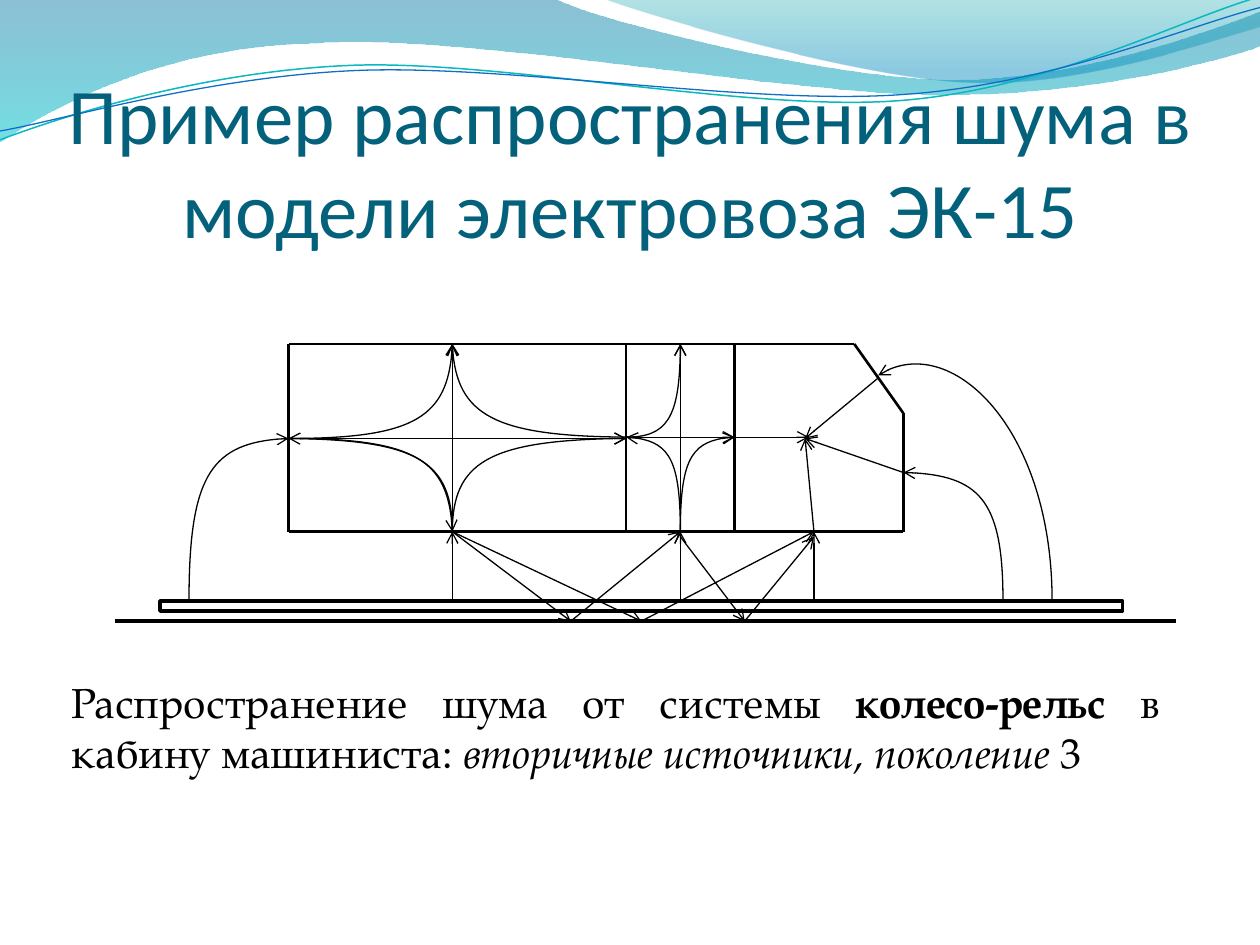
from lxml import etree
from pptx import Presentation
from pptx import util as u
from pptx.dml.color import RGBColor
from pptx.enum import shapes, text
from pptx.oxml.ns import qn

BLACK = RGBColor(0x00, 0x00, 0x00)
TITLE_BLUE = RGBColor(0x04, 0x61, 0x7B)
WAVE_TEAL = RGBColor(0x0A, 0xB8, 0xBF)
WAVE_BLUE = RGBColor(0x0F, 0x6F, 0xC6)
DEEP_BLUE = RGBColor(0x00, 0x74, 0xA1)
CYAN = RGBColor(0x00, 0xC6, 0xCF)
SEA_GREEN = RGBColor(0x00, 0xA1, 0xA9)
SKY_BLUE = RGBColor(0x00, 0x8B, 0xBF)


def stroke(shape, color, width, arrow=False):
    shape.line.color.rgb = color
    shape.line.width = u.Pt(width)
    properties = shape.element.xpath("./p:spPr")[0]
    if arrow:
        etree.SubElement(properties.find(qn("a:ln")), qn("a:tailEnd"), type="arrow")
    etree.SubElement(properties, qn("a:effectLst"))


def add_curve(start, *segments):
    builder = slide.shapes.build_freeform(u.Inches(start[0]), u.Inches(start[1]))
    for segment in segments:
        builder.add_line_segments(
            [(u.Inches(x), u.Inches(y)) for x, y in segment], close=False)
    curve = builder.convert_to_shape()
    outline = curve.element.xpath(".//a:path")[0]
    nodes = iter(outline.findall(qn("a:lnTo")))
    for segment in segments:
        group = [next(nodes) for _ in segment]
        if len(segment) == 1:
            outline.append(group[0])
            continue
        bezier = etree.SubElement(outline, qn("a:cubicBezTo"))
        for node in group:
            bezier.append(node[0])
            outline.remove(node)
    curve.fill.background()
    return curve


deck = Presentation()
deck.slide_width, deck.slide_height = u.Inches(10), u.Inches(7.5)
slide = deck.slides.add_slide(deck.slide_layouts[5])

left_band = add_curve(
    (0, 0), [(4.4, -0.01)],
    [(4.76, 0.17), (6.64, 0.63), (7.58, 0.63)],
    [(8.53, 0.63), (9.58, 0.26), (10, 0.09)], [(10.01, 0.36)],
    [(9.83, 0.44), (8.7, 0.76), (7.46, 0.75)],
    [(6.22, 0.75), (3.82, 0.28), (2.57, 0.34)],
    [(1.29, 0.36), (0.46, 0.83), (-0.01, 1.13)], [(0, 0)])
right_band = add_curve(
    (4.79, -0.01), [(5.09, 0.11), (6.82, 0.62), (7.69, 0.65)],
    [(8.56, 0.69), (9.61, 0.32), (10, 0.21)], [(10, 0)], [(4.79, -0.01)])

for band, stops in [
    (left_band, [(0, DEEP_BLUE, 45), (1, CYAN, 55)]),
    (right_band, [(0, SEA_GREEN, 30), (0.8, SKY_BLUE, 45)]),
]:
    band.shadow.inherit = False
    band.line.fill.background()
    band.fill.gradient()
    band.fill.gradient_angle = 270
    for stop, (position, color, _) in zip(band.fill.gradient_stops, stops):
        stop.position = position
        stop.color.rgb = color
    tints = band.element.xpath(".//a:gsLst//a:srgbClr")
    for tint, (_, _, opacity) in zip(tints, stops):
        etree.SubElement(tint, qn("a:alpha"), val=str(opacity * 1000))

teal_wave = add_curve(
    (0, 1.11), [(0.48, 0.93), (1.58, 0.57), (2.77, 0.52)],
    [(3.95, 0.47), (5.93, 0.89), (7.13, 0.8)],
    [(8.33, 0.71), (9.38, 0.15), (9.98, -0.02)])
stroke(teal_wave, WAVE_TEAL, 0.85)
blue_wave = add_curve(
    (0, 1.04), [(0.47, 0.96), (1.64, 0.61), (2.83, 0.56)],
    [(4.03, 0.51), (5.97, 0.84), (7.17, 0.75)],
    [(8.36, 0.67), (9.41, 0.21), (10, 0.06)])
stroke(blue_wave, WAVE_BLUE, 0.75)

title = slide.shapes.title
title.element.getparent().append(title.element)
title.left, title.top = u.Inches(0.5), u.Inches(0.77)
title.width, title.height = u.Inches(9), u.Inches(1.25)
frame = title.text_frame
frame.word_wrap = True
frame.auto_size = text.MSO_AUTO_SIZE.NONE
frame.vertical_anchor = text.MSO_ANCHOR.BOTTOM
frame.margin_left = frame.margin_right = frame.margin_bottom = 0
frame.margin_top = u.Inches(0.05)
frame.paragraphs[0].alignment = text.PP_ALIGN.CENTER
run = frame.paragraphs[0].add_run()
run.text = "Пример распространения шума в модели электровоза ЭК-15"
run.font.name, run.font.size = "Calibri", u.Pt(45)
run.font.color.rgb = TITLE_BLUE

rear, engine, bulkhead, duct, cab_wall = 2.29, 3.59, 4.97, 5.4, 5.83
driver, cab_floor, roof_end, windshield, nose = 6.39, 6.46, 6.78, 6.97, 7.17
roof, middle, floor, rail, ground = 2.73, 3.48, 4.22, 4.77, 4.93
hood, front = 3.28, 3.75

body_walls = [
    (bulkhead, roof, bulkhead, floor), (bulkhead, floor, rear, floor),
    (rear, floor, rear, roof), (bulkhead, roof, rear, roof),
    (bulkhead, floor, cab_wall, floor), (cab_wall, floor, nose, floor),
    (nose, floor, nose, hood), (nose, hood, roof_end, roof),
    (cab_wall, floor, cab_wall, roof), (cab_wall, roof, bulkhead, roof),
    (roof_end, roof, cab_wall, roof),
]
direct_rays = [
    (engine, rail, engine, floor), (duct, rail, duct, floor),
    (cab_floor, rail, cab_floor, floor), (cab_floor, floor, driver, middle),
    (nose, front, driver, middle), (windshield, 3, driver, middle),
    (duct, floor, duct, roof), (engine, floor, engine, roof),
    (rear, middle, bulkhead, middle), (bulkhead, 3.47, cab_wall, 3.47),
    (cab_wall, 3.47, 6.42, 3.47),
]
reflected_rays = [
    (engine, floor, 4.53, ground), (4.53, ground, duct, floor),
    (engine, floor, 5.09, ground), (5.09, ground, cab_floor, floor),
    (duct, 4.26, 5.91, ground), (5.91, ground, cab_floor, 4.26),
]
for lines, width, arrow in [
    (body_walls, 1.5, False), ([(0.91, ground, 9.33, ground)], 2, False),
    (direct_rays + reflected_rays, 0.75, True),
]:
    for ends in lines:
        line = slide.shapes.add_connector(
            shapes.MSO_CONNECTOR.STRAIGHT, *[u.Inches(end) for end in ends])
        stroke(line, BLACK, width, arrow)

rail_bar = slide.shapes.add_shape(
    shapes.MSO_SHAPE.RECTANGLE, u.Inches(1.27), u.Inches(rail), u.Inches(7.64), u.Inches(0.08))
rail_bar.fill.background()
stroke(rail_bar, BLACK, 2)

for start, *bend in [
    ((1.5, rail), (1.5, 3.81), (1.68, 3.5), (rear, middle)),
    ((7.96, rail), (7.96, 4.01), (7.78, 3.76), (nose, front)),
    ((8.35, rail), (8.35, 3.44), (7.53, 2.61), (windshield, 2.98)),
    ((duct, floor), (duct, 3.67), (5.5, 3.48), (cab_wall, 3.47)),
    ((duct, floor), (duct, 3.67), (5.3, 3.48), (bulkhead, 3.47)),
    ((engine, floor), (engine, 3.67), (3.9, 3.49), (bulkhead, middle)),
    ((engine, floor), (engine, 3.67), (3.3, 3.49), (rear, middle)),
    ((rear, middle), (3.25, middle), (3.57, 3.65), (engine, floor)),
    ((rear, middle), (3.25, middle), (3.57, 3.31), (engine, roof)),
    ((bulkhead, 3.47), (5.29, 3.47), (duct, 3.3), (duct, roof)),
    ((5.04, 3.47), (3.97, 3.47), (3.61, 3.3), (engine, roof)),
]:
    stroke(add_curve(start, bend), BLACK, 0.75, arrow=True)

caption = slide.shapes.add_textbox(
    u.Inches(0.47), u.Inches(5.32), u.Inches(8.83), u.Inches(0.91)).text_frame
caption.word_wrap = True
caption.auto_size = text.MSO_AUTO_SIZE.SHAPE_TO_FIT_TEXT
caption.paragraphs[0].alignment = text.PP_ALIGN.JUSTIFY
for words, bold, italic in [
    ("Распространение шума от системы ", False, False),
    ("колесо-рельс", True, False),
    (" в кабину машиниста: ", False, False),
    ("вторичные источники, поколение ", False, True),
    ("3", False, False),
]:
    run = caption.paragraphs[0].add_run()
    run.text = words
    run.font.name, run.font.size = "TeX Gyre Pagella", u.Pt(24)
    run.font.bold, run.font.italic = bold, italic
    run.font.color.rgb = BLACK

deck.save("out.pptx")
